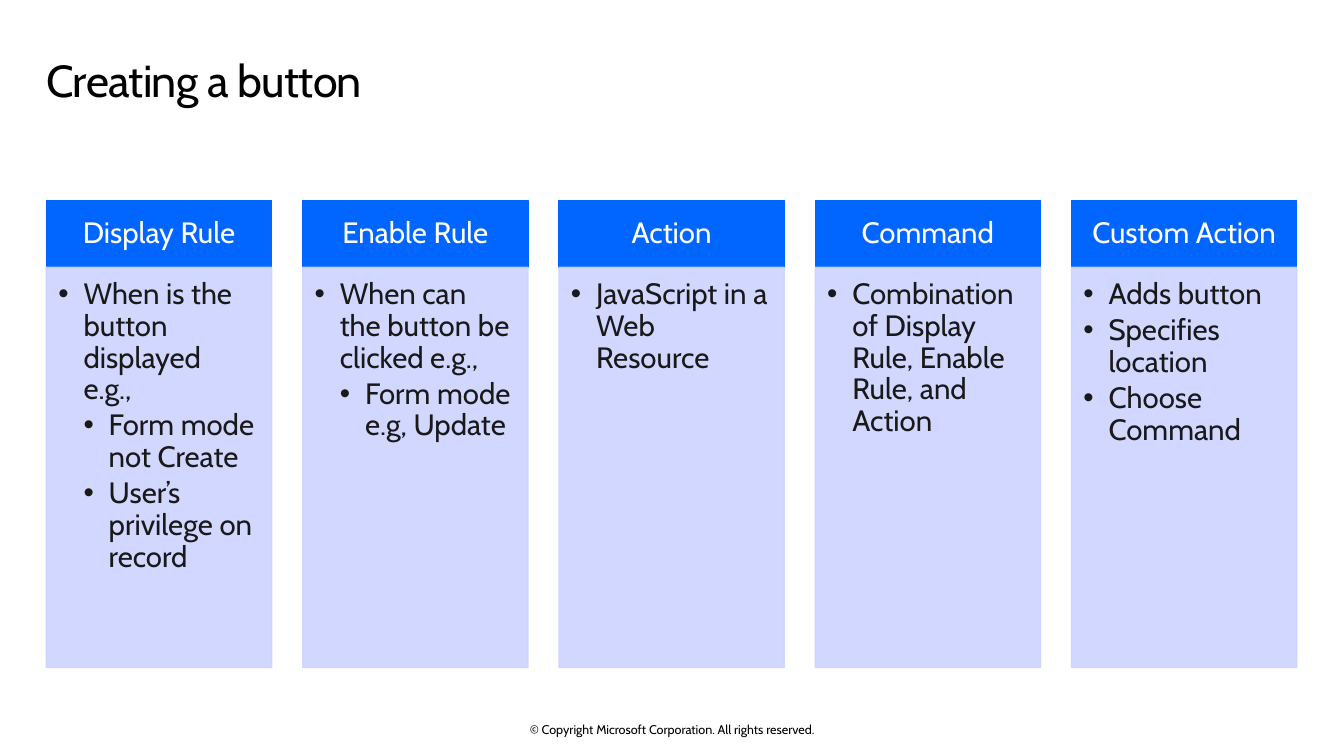
from lxml import etree
from pptx import Presentation
from pptx.dml.color import RGBColor
from pptx.enum.shapes import MSO_SHAPE
from pptx.enum.text import MSO_ANCHOR, MSO_AUTO_SIZE, PP_ALIGN
from pptx.oxml.ns import qn
from pptx.util import Pt

RECTANGLE = MSO_SHAPE.RECTANGLE
TOP, MIDDLE = MSO_ANCHOR.TOP, MSO_ANCHOR.MIDDLE
LEFT, CENTER = PP_ALIGN.LEFT, PP_ALIGN.CENTER

COLORS = {
    "title": "000000",
    "header": "0066FF",
    "header text": "FFFFFF",
    "panel": "CCD3FF",
    "panel text": "191919",
}
FONT = "Cabin"
MARGIN = 33.1
COLUMN_WIDTH = 161
COLUMN_STEP = 183.06
HEADER_TOP, HEADER_HEIGHT = 143.3, 47.5
PANEL_TOP, PANEL_HEIGHT = HEADER_TOP + HEADER_HEIGHT, 286
INDENT = 18

# Each column: heading, then (level, text) bullets
COLUMNS = [
    ("Display Rule", [
        (0, "When is the button displayed e.g.,"),
        (1, "Form mode not Create"),
        (1, "User’s privilege on record"),
    ]),
    ("Enable Rule", [
        (0, "When can the button be clicked e.g.,"),
        (1, "Form mode e.g, Update"),
    ]),
    ("Action", [(0, "JavaScript in a Web Resource")]),
    ("Command", [(0, "Combination of Display Rule, Enable Rule, and Action")]),
    ("Custom Action", [
        (0, "Adds button"),
        (0, "Specifies location"),
        (0, "Choose Command"),
    ]),
]


def set_frame(frame, anchor, insets):
    """Set wrapping, anchor and the left, top, right, bottom insets."""
    frame.word_wrap = True
    frame.auto_size = MSO_AUTO_SIZE.NONE
    frame.vertical_anchor = anchor
    frame.margin_left, frame.margin_top, frame.margin_right, frame.margin_bottom = map(Pt, insets)


def style_paragraph(paragraph, size, color, align):
    paragraph.alignment = align
    paragraph.line_spacing = 0.9
    for run in paragraph.runs:
        run.font.name = FONT
        run.font.size = Pt(size)
        run.font.color.rgb = RGBColor.from_string(COLORS[color])


prs = Presentation()
prs.slide_width, prs.slide_height = Pt(960), Pt(540)
slide = prs.slides.add_slide(prs.slide_layouts[5])

title = slide.shapes.title
title.left, title.top, title.width, title.height = Pt(MARGIN), Pt(34.5), Pt(893), Pt(53.3)
title.text_frame.text = "Creating a button"
set_frame(title.text_frame, TOP, (0, 7.2, 11.5, 7.2))
title_line = title.text_frame.paragraphs[0]
style_paragraph(title_line, 32, "title", LEFT)
title_line.runs[0].font._element.set("spc", "-50")

for column, (heading, bullets) in enumerate(COLUMNS):
    left = MARGIN + column * COLUMN_STEP
    header = slide.shapes.add_shape(
        RECTANGLE, Pt(left), Pt(HEADER_TOP), Pt(COLUMN_WIDTH), Pt(HEADER_HEIGHT))
    panel = slide.shapes.add_shape(
        RECTANGLE, Pt(left), Pt(PANEL_TOP), Pt(COLUMN_WIDTH), Pt(PANEL_HEIGHT))

    for box, color in ((header, "header"), (panel, "panel")):
        box.shadow.inherit = False
        box.fill.solid()
        box.fill.fore_color.rgb = RGBColor.from_string(COLORS[color])
        box.line.color.rgb = RGBColor.from_string(COLORS[color])
        box.line.width = Pt(0.85)

    for panel_color in panel._element.spPr.iter(qn("a:srgbClr")):
        etree.SubElement(panel_color, qn("a:alpha"), val="90000")

    header.text_frame.text = heading
    set_frame(header.text_frame, MIDDLE, (11.5, 6.5, 11.5, 6.5))
    style_paragraph(header.text_frame.paragraphs[0], 21, "header text", CENTER)

    panel.text_frame.text = "\n".join(text for _, text in bullets)
    set_frame(panel.text_frame, TOP, (8.6, 8.6, 11.5, 13))
    for paragraph, (level, _) in zip(panel.text_frame.paragraphs, bullets):
        properties = paragraph._p.get_or_add_pPr()
        properties.set("marL", str(Pt(INDENT * (level + 1))))
        properties.set("indent", str(Pt(-INDENT)))
        etree.SubElement(properties, qn("a:buFont"), typeface="Arial")
        etree.SubElement(properties, qn("a:buChar"), char="•")
        paragraph.level = level
        paragraph.space_after = Pt(3.15)
        style_paragraph(paragraph, 21, "panel text", LEFT)

copyright_line = slide.shapes.add_textbox(Pt(318), Pt(515.5), Pt(324), Pt(11))
copyright_line.text_frame.text = "© Copyright Microsoft Corporation. All rights reserved."
set_frame(copyright_line.text_frame, MIDDLE, (0, 0, 0, 0))
style_paragraph(copyright_line.text_frame.paragraphs[0], 9, "title", CENTER)
copyright_line.text_frame.paragraphs[0].line_spacing = 1.0

prs.save("out.pptx")
